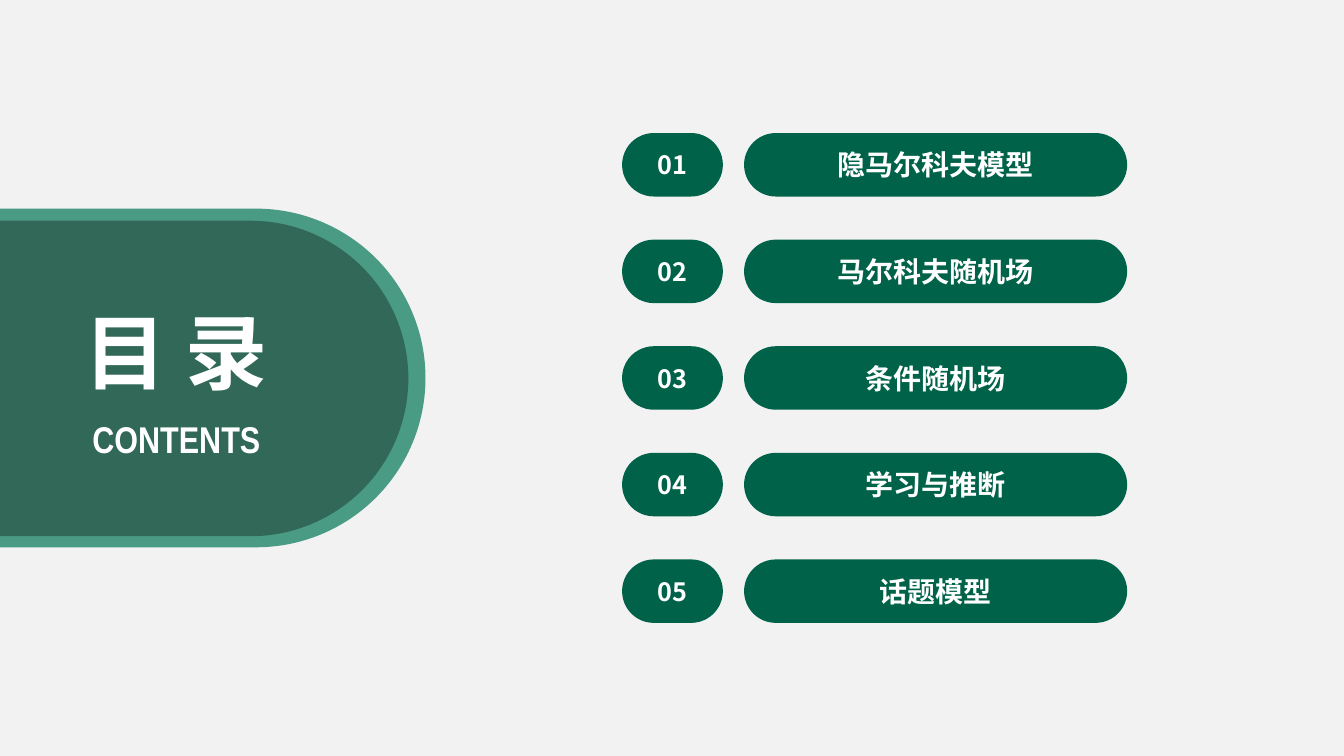
from dataclasses import dataclass

from lxml.etree import SubElement
from pptx import Presentation
from pptx.dml.color import RGBColor
from pptx.enum.shapes import MSO_SHAPE
from pptx.enum.text import MSO_ANCHOR, MSO_AUTO_SIZE, PP_ALIGN
from pptx.oxml.ns import qn
from pptx.util import Inches, Pt


@dataclass(frozen=True)
class Theme:
    backdrop: str = "F2F2F2"
    rim: str = "4A9B83"
    panel: str = "316857"
    pill: str = "006249"
    text: str = "FFFFFF"
    chinese: str = "Noto Sans CJK SC"
    latin: str = "Arial Narrow"
    title_size: float = 58.6
    subtitle_size: float = 26.6
    number_size: float = 18
    topic_size: float = 20


@dataclass(frozen=True)
class Box:
    """A rectangle in inches."""
    left: float
    top: float
    width: float
    height: float

    def inner(self, left, top, width, height):
        """A box inside this one, offset from its top left corner."""
        return Box(self.left + left, self.top + top, width, height)

    def lengths(self):
        return [Inches(n) for n in (self.left, self.top, self.width, self.height)]


THEME = Theme()
SLIDE = Box(0, 0, 13.33, 7.5)
TOPICS = ["隐马尔科夫模型", "马尔科夫随机场", "条件随机场", "学习与推断", "话题模型"]


def write_text(shape, text, size, font_name=THEME.chinese):
    """Put one bold, centred line into a shape."""
    frame = shape.text_frame
    frame.text = text
    frame.vertical_anchor = MSO_ANCHOR.MIDDLE
    para = frame.paragraphs[0]
    para.alignment = PP_ALIGN.CENTER
    para.space_before = Pt(0)
    font = para.font
    font.size, font.bold, font.name = Pt(size), True, font_name
    font.color.rgb = RGBColor.from_string(THEME.text)
    # East Asian typeface, which has no public property
    defaults = para._p.get_or_add_pPr().get_or_add_defRPr()
    SubElement(defaults, qn("a:ea")).set("typeface", font_name)


def add_pill(page, box, color):
    """Add a shape with fully rounded ends."""
    pill = page.shapes.add_shape(MSO_SHAPE.ROUNDED_RECTANGLE, *box.lengths())
    pill.adjustments[0] = 0.5
    pill.shadow.inherit = False
    pill.fill.solid()
    pill.fill.fore_color.rgb = RGBColor.from_string(color)
    pill.line.fill.background()
    return pill


def place_heading(holder, box, text, size, font_name):
    """Move a placeholder to the box, in front of the panel."""
    holder.left, holder.top, holder.width, holder.height = box.lengths()
    write_text(holder, text, size, font_name)
    holder.text_frame.word_wrap = False
    holder.text_frame.auto_size = MSO_AUTO_SIZE.NONE
    holder.element.getparent().append(holder.element)


def add_title_panel(page, box):
    """Rounded panel running in from the left edge, with both headings."""
    add_pill(page, box, THEME.rim)
    add_pill(page, box.inner(0.26, 0.12, 5.75, 3.13), THEME.panel)
    title, subtitle = page.placeholders
    place_heading(subtitle, box.inner(2.58, 2.01, 2.26, 0.55),
                  "CONTENTS", THEME.subtitle_size, THEME.latin)
    place_heading(title, box.inner(2.66, 0.86, 2.09, 1.09),
                  "目 录", THEME.title_size, THEME.chinese)


def add_topic_list(page, box, topics):
    """Evenly spaced rows, each a number pill and a topic pill."""
    row_height, number_width, gutter = 0.63, 1, 0.21
    pitch = (box.height - row_height) / (len(topics) - 1)
    topic_left = number_width + gutter
    for index, topic in enumerate(topics):
        top = index * pitch
        number_box = box.inner(0, top, number_width, row_height)
        topic_box = box.inner(topic_left, top, box.width - topic_left, row_height)
        write_text(add_pill(page, number_box, THEME.pill),
                   f"{index + 1:02d}", THEME.number_size)
        write_text(add_pill(page, topic_box, THEME.pill), topic, THEME.topic_size)


def main():
    deck = Presentation()
    deck.slide_width, deck.slide_height = SLIDE.lengths()[2:]
    page = deck.slides.add_slide(deck.slide_layouts[0])
    page.background.fill.solid()
    page.background.fill.fore_color.rgb = RGBColor.from_string(THEME.backdrop)
    add_title_panel(page, SLIDE.inner(-1.96, 2.07, 6.18, 3.36))
    add_topic_list(page, SLIDE.inner(6.17, 1.32, 5.01, 4.86), TOPICS)
    deck.save("out.pptx")


if __name__ == "__main__":
    main()
